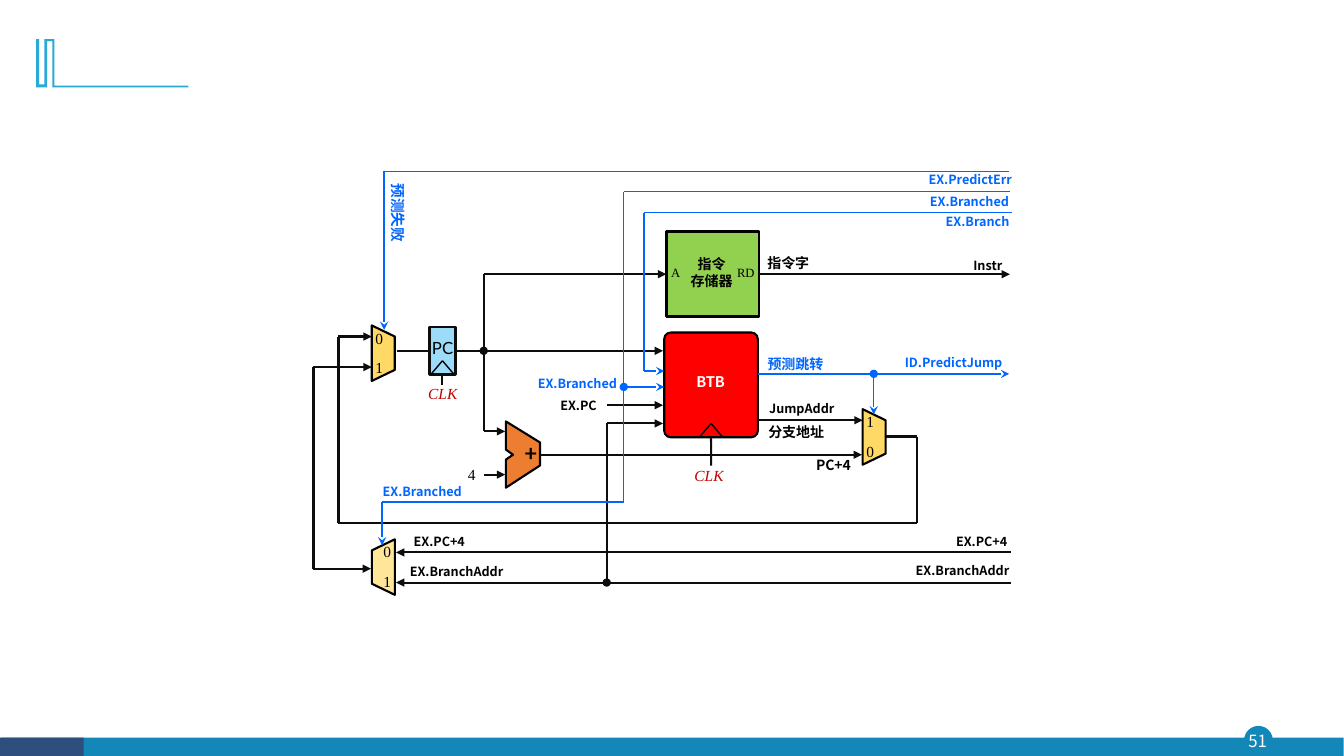
from lxml import etree
from pptx import Presentation
from pptx.dml.color import RGBColor
from pptx.enum import shapes as sh, text as tx
from pptx.oxml.ns import qn
from pptx.util import Cm, Pt

BLACK = RGBColor(0x00, 0x00, 0x00)
INK = RGBColor(0x0D, 0x0D, 0x0D)
WHITE = RGBColor(0xFF, 0xFF, 0xFF)
BLUE = RGBColor(0x00, 0x66, 0xFF)
RED = RGBColor(0xFF, 0x00, 0x00)
WINE = RGBColor(0xC0, 0x00, 0x00)
GOLD = RGBColor(0xFF, 0xD9, 0x66)
CREAM = RGBColor(0xFF, 0xE6, 0x99)
ORANGE = RGBColor(0xED, 0x7D, 0x31)
GREEN = RGBColor(0x92, 0xD0, 0x50)
SKY = RGBColor(0x9C, 0xDC, 0xF8)
CYAN = RGBColor(0x28, 0xA9, 0xD6)
TEAL = RGBColor(0x13, 0x87, 0xB7)
NAVY = RGBColor(0x2E, 0x4E, 0x7E)

SANS, SERIF, LATO = "Noto Sans CJK SC", "Times New Roman", "Lato"
FORM = sh.MSO_SHAPE

prs = Presentation()
prs.slide_width, prs.slide_height = Cm(33.87), Cm(19.05)
slide = prs.slides.add_slide(prs.slide_layouts[6])
items = slide.shapes


def wire(points, color=INK, width=1.5, head=None, tail=None, start=None, end=None):
    """Draw straight segments through the points; start and end are (shape, side)."""
    last = len(points) - 2
    for i, (a, b) in enumerate(zip(points, points[1:])):
        line = items.add_connector(sh.MSO_CONNECTOR.STRAIGHT, *map(Cm, a + b))
        if start and i == 0:
            line.begin_connect(*start)
        if end and i == last:
            line.end_connect(*end)
        line.line.color.rgb = color
        line.line.width = Pt(width)
        ln = line.line._get_or_add_ln()
        if head and i == 0:
            etree.SubElement(ln, qn("a:headEnd"), type=head)
        if tail and i == last:
            etree.SubElement(ln, qn("a:tailEnd"), type=tail)
        etree.SubElement(line._element.spPr, qn("a:effectLst"))


def label(left, top, width, words, size=9, color=BLACK, face=SANS, bold=False,
          italic=False, turn=0):
    rows = words.count("\n") + 1
    height = 0.25 + 0.04 * size * rows
    box = items.add_textbox(Cm(left), Cm(top), Cm(width), Cm(height))
    box.rotation = turn
    frame = box.text_frame
    frame.word_wrap = False
    frame.margin_left = frame.margin_right = 0
    frame.vertical_anchor = tx.MSO_ANCHOR.MIDDLE
    frame.text = words
    for para in frame.paragraphs:
        para.alignment = tx.PP_ALIGN.CENTER
        font = para.font
        font.size, font.name = Pt(size), face
        font.bold, font.italic = bold, italic
        font.color.rgb = color
        etree.SubElement(para._p.pPr.find(qn("a:defRPr")), qn("a:ea"), typeface=face)


# Corner ornament and adder
corner = [(1.37, 0.99), (1.37, 2.16), (4.75, 2.16), (4.75, 2.2), (1.32, 2.2),
          (1.32, 1.04), (1.19, 1.04), (1.19, 2.2), (0.91, 2.2), (0.91, 0.99),
          (0.99, 0.99), (0.99, 2.13), (1.12, 2.13), (1.12, 0.99)]
adder = [(12.75, 10.62), (13.61, 11.15), (13.61, 11.73), (12.75, 12.29),
         (12.75, 11.58), (12.93, 11.46), (12.75, 11.33)]
for outline, fill, edge in [(corner, CYAN, 0), (adder, ORANGE, 1.5)]:
    points = [(Cm(x), Cm(y)) for x, y in outline]
    pen = items.build_freeform(*points[0])
    pen.add_line_segments(points[1:], close=True)
    form = pen.convert_to_shape()
    form.shadow.inherit = False
    form.fill.solid()
    form.fill.fore_color.rgb = fill
    if edge:
        form.line.color.rgb = BLACK
        form.line.width = Pt(edge)
    else:
        form.line.fill.background()

# Footer, blocks and multiplexers
muxes = [(9.66, 8.9, 270, GOLD, "01"), (22.03, 11.01, 270, GOLD, "10"),
         (9.66, 14.29, 90, CREAM, "01")]
blocks = [
    ("badge", FORM.OVAL, 31.37, 18.31, 0.69, 0.69, TEAL, TEAL, 1, 0),
    ("bar", FORM.RECTANGLE, 0.03, 18.59, 33.83, 0.48, TEAL, None, 0, 0),
    ("end", FORM.RECTANGLE, 0, 18.59, 2.11, 0.48, NAVY, None, 0, 0),
    ("PC", FORM.RECTANGLE, 10.82, 8.24, 0.66, 1.2, SKY, INK, 2, 0),
    ("BTB", FORM.ROUNDED_RECTANGLE, 16.74, 8.38, 2.36, 2.64, RED, BLACK, 1.5, 0),
    ("memory", FORM.RECTANGLE, 16.79, 5.84, 2.34, 2.14, GREEN, BLACK, 2, 0),
]
for x, y, turn, fill, digits in muxes:
    blocks.append(("mux", FORM.FLOWCHART_MANUAL_OPERATION, x - 0.7, y - 0.29,
                   1.4, 0.58, fill, BLACK, 1.5, turn))
made = {}
for name, kind, x, y, w, h, fill, edge, width, turn in blocks:
    block = made[name] = items.add_shape(kind, Cm(x), Cm(y), Cm(w), Cm(h))
    block.rotation = turn
    block.shadow.inherit = False
    block.fill.solid()
    block.fill.fore_color.rgb = fill
    if edge is None:
        block.line.fill.background()
    else:
        block.line.color.rgb = edge
        block.line.width = Pt(width)
made["BTB"].adjustments[0] = 0.07
pc, btb, memory = made["PC"], made["BTB"], made["memory"]

# Data wires
ARROW, DOT, BARB = "triangle", "oval", "stealth"
wire([(10.01, 8.84), (10.82, 8.84)], end=(pc, 1))
wire([(11.48, 8.84), (16.71, 8.84)], tail=ARROW, start=(pc, 3))
wire([(12.19, 8.84), (12.19, 6.91), (16.79, 6.91)], head=DOT, tail=ARROW, end=(memory, 1))
wire([(12.19, 8.84), (12.19, 10.87), (12.73, 10.87)], tail=ARROW)
wire([(12.19, 11.96), (12.73, 11.96)], tail=ARROW)
wire([(13.61, 11.46), (21.72, 11.46)], tail=ARROW)
wire([(19.13, 6.91), (25.45, 6.91)], tail=ARROW, start=(memory, 3))
wire([(19.1, 10.59), (21.74, 10.59)], tail=ARROW)
wire([(15.29, 10.21), (16.71, 10.21)], tail=ARROW)
wire([(15.29, 14.68), (15.29, 10.67), (16.71, 10.67)], head=DOT, tail=ARROW)
wire([(22.33, 11), (23.11, 11), (23.11, 13.18), (8.53, 13.18), (8.53, 8.48),
      (9.37, 8.48)], tail=ARROW)
wire([(9.35, 14.33), (7.9, 14.33), (7.9, 9.25), (9.37, 9.25)], head=ARROW, tail=ARROW)
for y in (13.92, 14.68):
    wire([(25.47, y), (9.98, y)], tail=ARROW)

# Clock inputs
wire([(11.15, 9.7), (11.15, 9.44)], end=(pc, 2))
wire([(17.92, 11.73), (17.92, 11.02)], end=(btb, 2))
for x, y in [(11.15, 9.42), (17.92, 11)]:
    wire([(x - 0.28, y), (x, y - 0.33), (x + 0.28, y)], BLACK, 1)

# Control wires
wire([(25.43, 4.32), (9.68, 4.32), (9.68, 8.31)], BLUE, 1, tail=BARB)
wire([(25.45, 4.83), (15.72, 4.83), (15.72, 12.65), (9.63, 12.65), (9.63, 13.74)],
     BLUE, 1, tail=BARB)
wire([(25.5, 5.36), (16.23, 5.36), (16.23, 9.35), (16.74, 9.35)], BLUE, 1, tail=BARB)
wire([(15.72, 9.75), (16.74, 9.75)], BLUE, 1, head=DOT, tail=BARB)
wire([(19.1, 9.42), (25.43, 9.42)], BLUE, 1, tail=BARB)
wire([(22.02, 9.42), (22.02, 10.44)], BLUE, 1, head=DOT, tail=BARB)

# Bold signal names
for x, y, w, words, size, color in [
    (23.14, 4.22, 2.62, "EX.PredictErr", 9, BLUE),
    (23.16, 4.78, 2.54, "EX.Branched", 9, BLUE),
    (23.57, 5.28, 2.13, "EX.Branch", 9, BLUE),
    (13.28, 9.35, 2.54, "EX.Branched", 9, BLUE),
    (9.37, 12.07, 2.54, "EX.Branched", 9, BLUE),
    (22.53, 8.84, 3, "ID.PredictJump", 9, BLUE),
    (19.08, 8.84, 1.93, "预测跳转", 10, BLUE),
    (19.1, 10.57, 1.93, "分支地址", 10, BLACK),
    (19.08, 6.3, 1.57, "指令字", 10, BLACK),
    (17.15, 6.35, 1.57, "指令\n存储器", 10, BLACK),
    (20.27, 11.4, 1.47, "PC+4", 10, BLACK),
    (24.26, 6.38, 1.27, "Instr", 9, BLACK),
    (19.1, 9.98, 2.21, "JumpAddr", 9, BLACK),
    (13.87, 9.91, 1.42, "EX.PC", 9, BLACK),
    (10.13, 13.34, 1.88, "EX.PC+4", 9, BLACK),
    (23.8, 13.34, 1.88, "EX.PC+4", 9, BLACK),
    (10.03, 14.1, 2.95, "EX.BranchAddr", 9, BLACK),
    (22.78, 14.07, 2.95, "EX.BranchAddr", 9, BLACK),
    (17.25, 9.27, 1.32, "BTB", 10.5, WHITE),
]:
    label(x, y, w, words, size, color, bold=True)
label(8.99, 5.03, 2.08, "预测失败", 10.5, BLUE, bold=True, turn=90)

# Port names and clocks
label(16.66, 6.55, 0.74, "A", face=SERIF)
label(18.31, 6.55, 0.97, "RD", face=SERIF)
label(11.61, 11.61, 0.56, "4", 11, face=SERIF)
label(13.14, 10.95, 0.48, "+", 16, face=LATO, bold=True)
label(10.62, 8.41, 1.07, "PC", 12, face=LATO)
for x, y in [(10.54, 9.58), (17.25, 11.63)]:
    label(x, y, 1.24, "CLK", 11, WINE, SERIF, italic=True)
for x, y, turn, fill, digits in muxes:
    shift = 0.1 if turn == 90 else -0.1
    for digit, drop in zip(digits, (-0.37, 0.37)):
        label(x + shift - 0.36, y + drop - 0.36, 0.72, digit, 11, face=SERIF)
label(31.29, 18.31, 0.81, "51", 12, WHITE)

prs.save("out.pptx")
